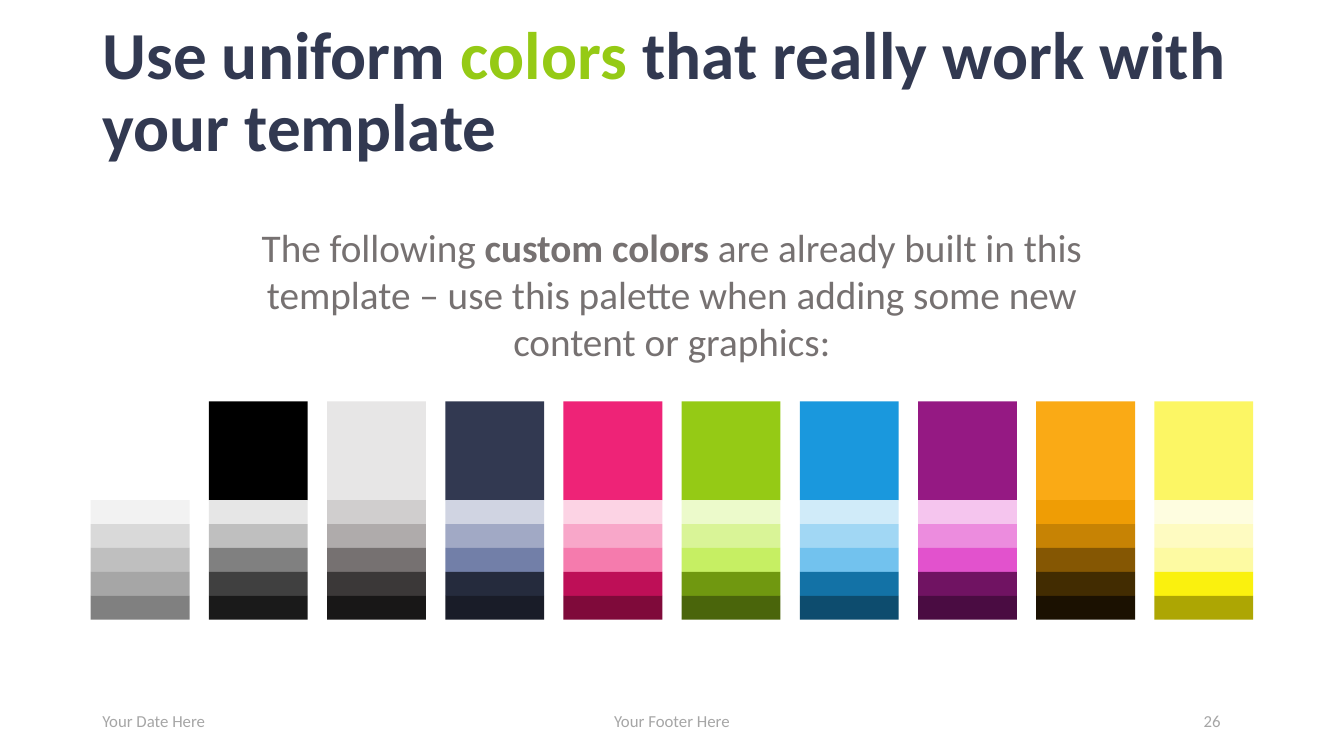
from pptx import Presentation
from pptx.dml.color import RGBColor
from pptx.enum.shapes import MSO_SHAPE
from pptx.enum.text import MSO_ANCHOR, MSO_AUTO_SIZE, PP_ALIGN
from pptx.util import Pt

LEFT, CENTER = PP_ALIGN.LEFT, PP_ALIGN.CENTER
TOP, MIDDLE = MSO_ANCHOR.TOP, MSO_ANCHOR.MIDDLE
NO_AUTOFIT = MSO_AUTO_SIZE.NONE
RECTANGLE = MSO_SHAPE.RECTANGLE

FONT = "Calibri"
COLORS = {"heading": "323951", "accent": "95CA15", "body": "767171", "footer": "A6A6A6"}
PALETTE = {
    "FFFFFF": ["F2F2F2", "D9D9D9", "BFBFBF", "A6A6A6", "808080"],
    "000000": ["E6E6E6", "BFBFBF", "808080", "404040", "1A1A1A"],
    "E7E6E6": ["D0CECE", "AFABAB", "767171", "3B3838", "181717"],
    "323951": ["D0D4E2", "A1A9C5", "727FA8", "252B3D", "191C28"],
    "EE2377": ["FCD3E4", "F8A7C9", "F57BAD", "BE0F57", "7F0A3A"],
    "95CA15": ["ECFACB", "D9F497", "C6EF63", "709810", "4A650B"],
    "1A98DD": ["D0EBF9", "A1D7F4", "72C2EE", "1372A6", "0D4C6E"],
    "951983": ["F5C5EE", "EC8CDE", "E252CD", "701362", "4A0C42"],
    "FAAA15": ["EF9D05", "C78304", "855703", "422C01", "1B1101"],
    "FCF664": ["FEFDE0", "FEFBC1", "FDFAA2", "FAF10E", "ADA603"],
}
PALETTE_LEFT, PALETTE_TOP = 64.8, 286.6
COLUMN_PITCH, SWATCH_SIZE, TINT_HEIGHT = 84.42, 70.6, 17.1


class PaletteSlide:
    """Holds the deck style and the slide being built."""

    def __init__(self, deck):
        self.slide = deck.slides.add_slide(deck.slide_layouts[5])

    def set_text(self, frame, pieces, size, align, anchor):
        frame.word_wrap = True
        frame.auto_size = NO_AUTOFIT
        frame.vertical_anchor = anchor
        paragraph = frame.paragraphs[0]
        paragraph.alignment = align
        for wording, color, bold in pieces:
            run = paragraph.add_run()
            run.text = wording
            run.font.name = FONT
            run.font.size = Pt(size)
            run.font.bold = bold
            run.font.color.rgb = RGBColor.from_string(COLORS[color])

    def title(self, box, pieces):
        heading = self.slide.shapes.title
        heading.left, heading.top, heading.width, heading.height = map(Pt, box)
        self.set_text(heading.text_frame, pieces, 48, LEFT, MIDDLE)
        heading.text_frame.paragraphs[0].line_spacing = 0.9

    def text(self, box, pieces, size, align, anchor):
        frame = self.slide.shapes.add_textbox(*map(Pt, box)).text_frame
        self.set_text(frame, pieces, size, align, anchor)

    def swatch(self, group, box, color):
        swatch = group.shapes.add_shape(RECTANGLE, *map(Pt, box))
        swatch.shadow.inherit = False
        swatch.fill.solid()
        swatch.fill.fore_color.rgb = RGBColor.from_string(color)
        swatch.line.fill.background()

    def palette(self, palette):
        group = self.slide.shapes.add_group_shape()
        for column, (base, tints) in enumerate(palette.items()):
            left = PALETTE_LEFT + column * COLUMN_PITCH
            self.swatch(group, (left, PALETTE_TOP, SWATCH_SIZE, SWATCH_SIZE), base)
            for row, tint in enumerate(tints):
                top = PALETTE_TOP + SWATCH_SIZE + row * TINT_HEIGHT
                self.swatch(group, (left, top, SWATCH_SIZE, TINT_HEIGHT), tint)


def main():
    deck = Presentation()
    deck.slide_width, deck.slide_height = Pt(960), Pt(540)
    page = PaletteSlide(deck)
    page.title((66, 22.3, 828, 89.3), [
        ("Use uniform ", "heading", True),
        ("colors", "accent", True),
        (" that really work with your template", "heading", True),
    ])
    for left, width, wording, align in [
        (66, 216, "Your Date Here", LEFT),
        (318, 324, "Your Footer Here", CENTER),
        (837.4, 56.9, "26", CENTER),
    ]:
        page.text((left, 500.5, width, 28.8), [(wording, "footer", False)], 12, align, MIDDLE)
    page.text((149, 156.2, 661.7, 108.7), [
        ("The following ", "body", False),
        ("custom colors ", "body", True),
        ("are already built in this template – use this palette when adding "
         "some new content or graphics:", "body", False),
    ], 28, CENTER, TOP)
    page.palette(PALETTE)
    deck.save("out.pptx")


if __name__ == "__main__":
    main()
